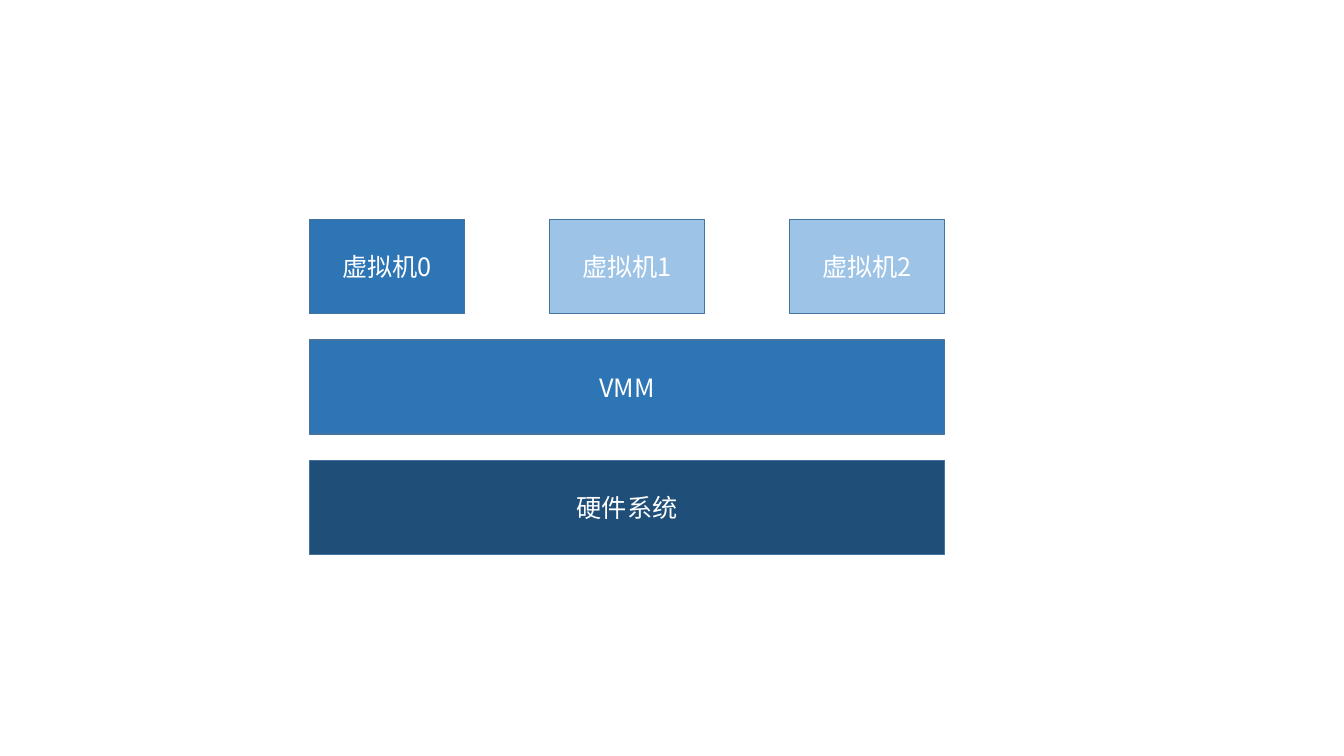
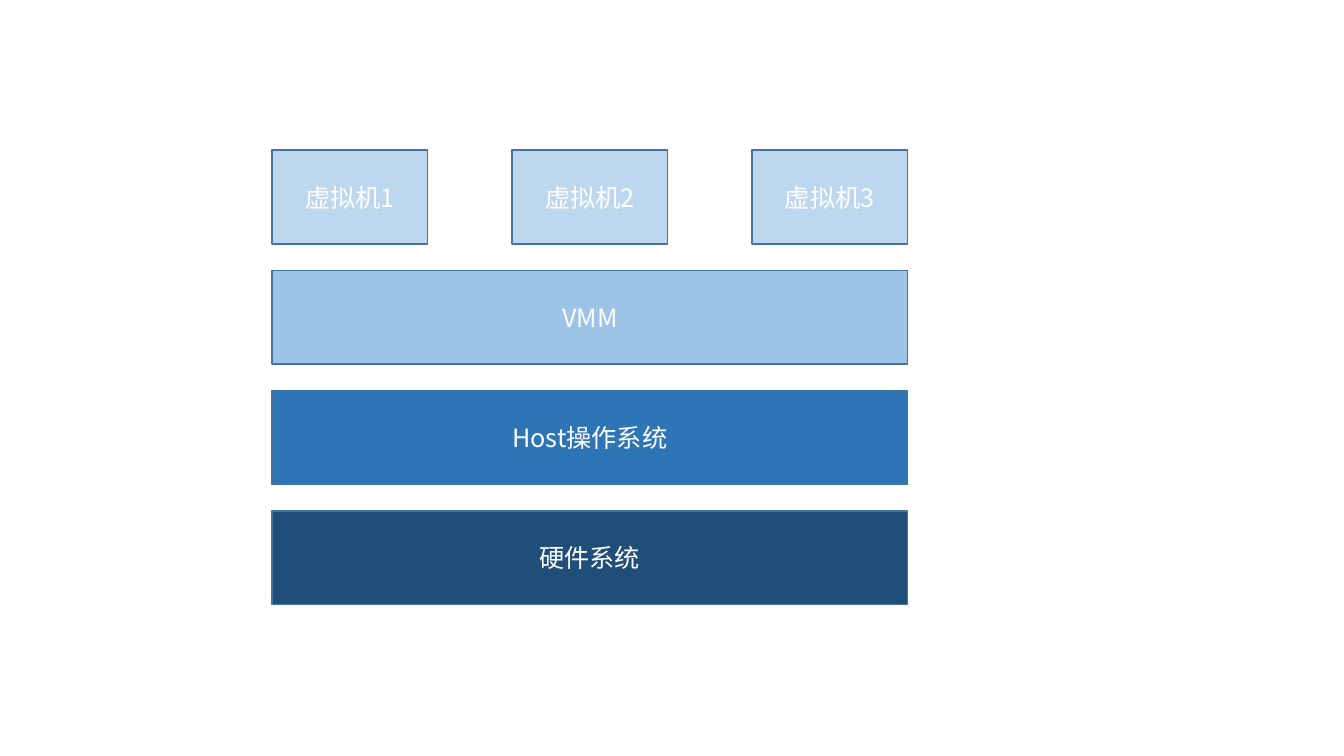
from lxml.etree import SubElement
from pptx import Presentation
from pptx.dml.color import RGBColor
from pptx.enum.shapes import MSO_SHAPE
from pptx.enum.text import MSO_ANCHOR, PP_ALIGN
from pptx.oxml.ns import qn
from pptx.util import Inches, Pt

RECT = MSO_SHAPE.RECTANGLE
MIDDLE = MSO_ANCHOR.MIDDLE
CENTER = PP_ALIGN.CENTER
FONT = "Noto Sans CJK SC"
WHITE, EDGE = "FFFFFF", "43739E"
NAVY, BLUE, SKY, PALE = "1F4E79", "2E75B6", "9DC3E6", "BDD7EE"
WIDE, HIGH = 13.33, 7.5
CELL, ROW = 1.54, 0.93
BLANK = 6


def paint(part, color):
    """Give a fill a solid colour from a hex string."""
    part.solid()
    part.fore_color.rgb = RGBColor.from_string(color)


def starts(start, length, size, count):
    """Spread equal parts evenly over a length and return their starts."""
    step = (length - size) / (count - 1)
    return [start + i * step for i in range(count)]


def block(slide, box, text, color):
    """Draw one labelled block in the given box."""
    shape = slide.shapes.add_shape(RECT, *map(Inches, box))
    shape.shadow.inherit = False
    paint(shape.fill, color)
    paint(shape.line.fill, EDGE)
    shape.line.width = Pt(1)
    frame = shape.text_frame
    frame.text = text
    frame.vertical_anchor = MIDDLE
    para = frame.paragraphs[0]
    para.alignment = CENTER
    font = para.font
    font.size = Pt(18)
    paint(font.fill, WHITE)
    font.name = FONT
    props = para._p.pPr.find(qn("a:defRPr"))
    SubElement(props, qn("a:ea"), typeface=FONT)


def guests(slide, box, cells):
    """Draw the row of virtual machines across the box."""
    left, top, width, height = box
    for x, (text, color) in zip(starts(left, width, CELL, len(cells)), cells):
        block(slide, (x, top, CELL, height), text, color)


def stack(deck, box, cells, layers):
    """Add a slide with virtual machines above full-width layers."""
    slide = deck.slides.add_slide(deck.slide_layouts[BLANK])
    left, top, width, height = box
    first, *rest = starts(top, height, ROW, len(layers) + 1)
    guests(slide, (left, first, width, ROW), cells)
    for y, (text, color) in zip(rest, layers):
        block(slide, (left, y, width, ROW), text, color)


deck = Presentation()
deck.slide_width, deck.slide_height = Inches(WIDE), Inches(HIGH)
base = ("硬件系统", NAVY)
stack(deck, (3.07, 2.18, 6.3, 3.32),
      [("虚拟机0", BLUE), ("虚拟机1", SKY), ("虚拟机2", SKY)],
      [("VMM", BLUE), base])
stack(deck, (2.7, 1.49, 6.3, 4.51),
      [(f"虚拟机{i}", PALE) for i in (1, 2, 3)],
      [("VMM", SKY), ("Host操作系统", BLUE), base])
deck.save("out.pptx")
